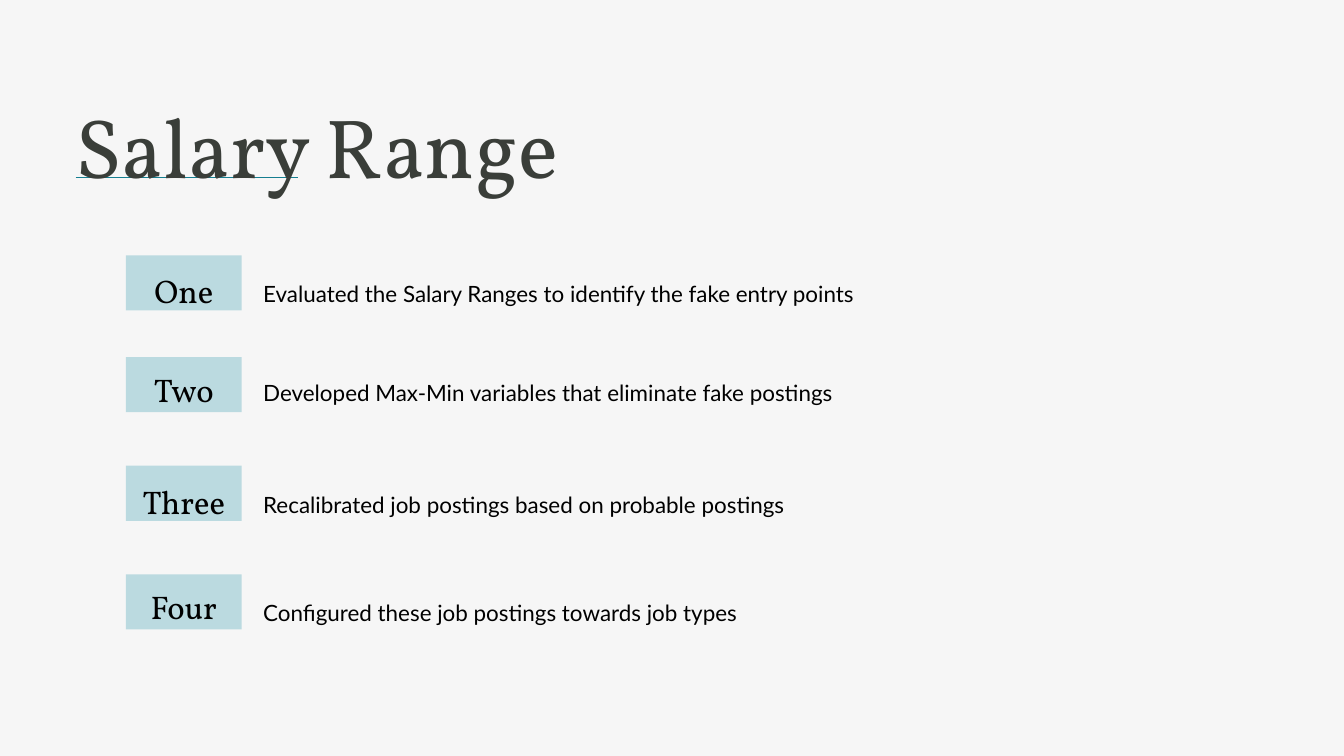
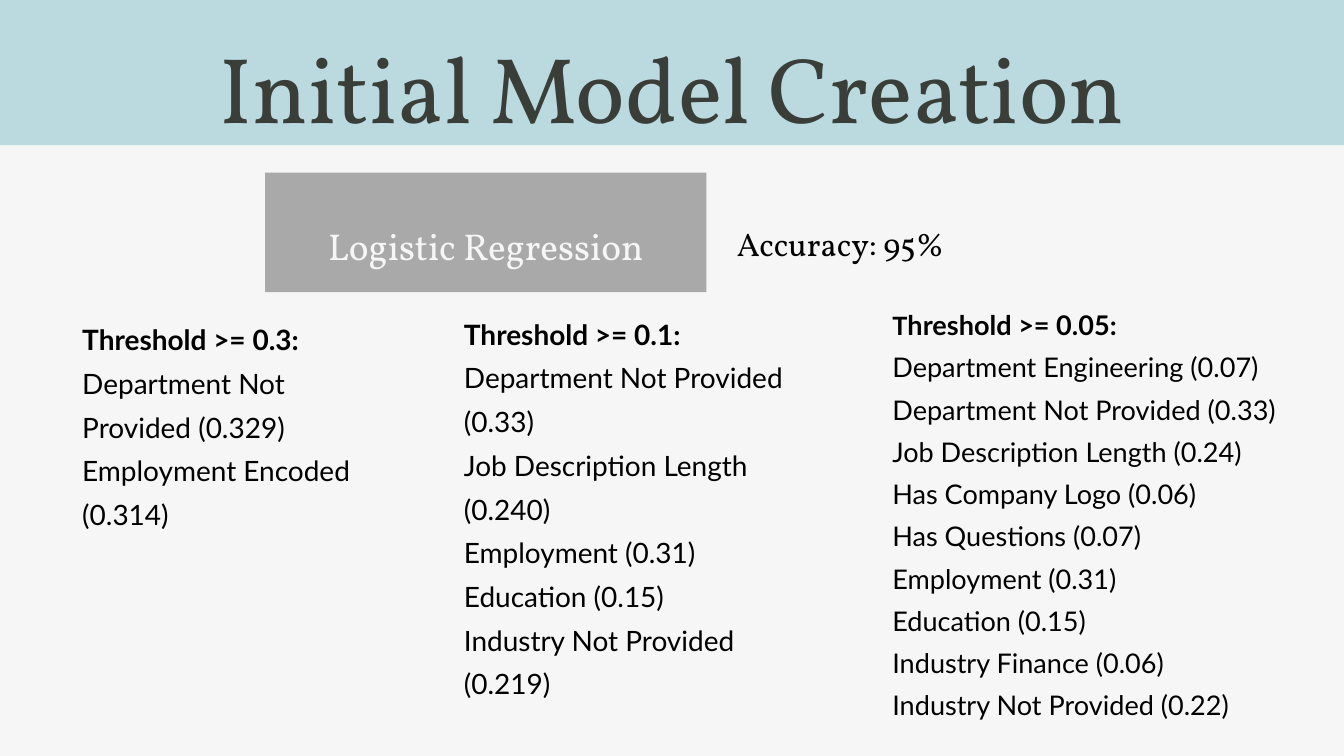
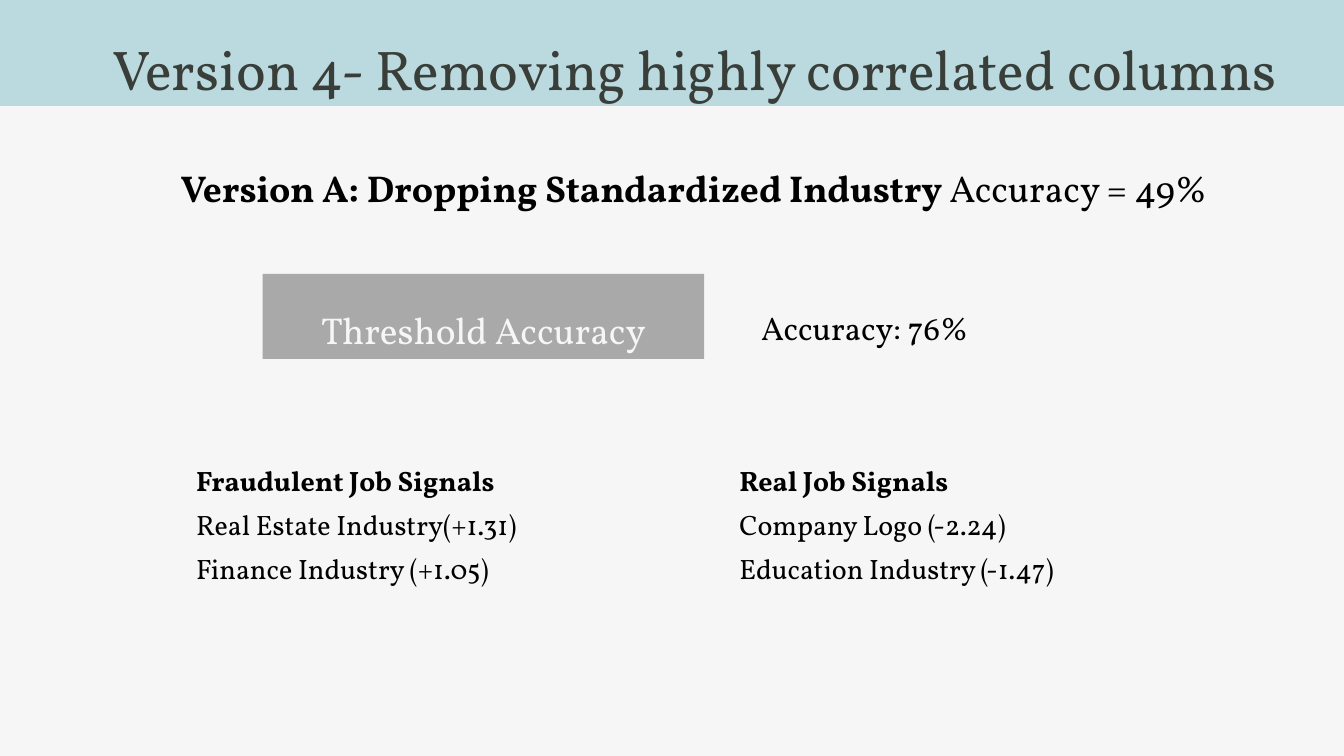
"""Builds three slides on salary ranges and job fraud models."""
from pptx import Presentation
from pptx.dml.color import RGBColor
from pptx.enum.shapes import MSO_CONNECTOR, MSO_SHAPE
from pptx.enum.text import MSO_AUTO_SIZE, PP_ALIGN
from pptx.oxml.ns import qn
from pptx.util import Pt
from lxml import etree

RECT = MSO_SHAPE.RECTANGLE
LINE = MSO_CONNECTOR.STRAIGHT
GROW = MSO_AUTO_SIZE.SHAPE_TO_FIT_TEXT
FIXED = MSO_AUTO_SIZE.NONE
LEFT = PP_ALIGN.LEFT
MID = PP_ALIGN.CENTER

WIDE, HIGH = 1440, 810
SERIF, SANS = "Vollkorn", "Lato"
COLORS = {"page": "F6F6F6", "band": "BBDAE0", "bar": "A9A9A9",
          "title": "3A3E39", "rule": "157E90", "text": "000000"}

STEPS = [
    ("One", "Evaluated the Salary Ranges to identify the fake entry points", 273.5, 282, 289),
    ("Two", "Developed Max-Min variables that eliminate fake postings", 382.5, 387.5, 395),
    ("Three", "Recalibrated job postings based on probable postings", 499, 507.5, 515),
    ("Four", "Configured these job postings towards job types", 615.5, 620, 630),
]

LIMITS = [
    ((81, 328, 312, 240), 30, [("Threshold >= 0.3:", 30)],
     ["Department Not Provided (0.329)", "Employment Encoded (0.314)"]),
    ((490, 322, 361, 429), 30, [("Threshold >= 0.1:", 30)],
     ["Department Not Provided (0.33)", "Job Description Length (0.240)",
      "Employment (0.31)", "Education (0.15)", "Industry Not Provided (0.219)"]),
    ((949, 313, 491, 461), 29, [("T", 27), ("hreshold >= 0.05:", 29)],
     ["Department Engineering (0.07)", "Department Not Provided (0.33)",
      "Job Description Length (0.24)", "Has Company Logo (0.06)",
      "Has Questions (0.07)", "Employment (0.31)", "Education (0.15)",
      "Industry Finance (0.06)", "Industry Not Provided (0.22)"]),
]

SIGNALS = [
    ((203, 479, 409, 145), 30, [("Fraudulent Job Signals", 30)],
     ["Real Estate Industry(+1.31)", "Finance Industry (+1.05)"]),
    ((785, 479, 421, 145), 30, [("Real Job Signals", 30)],
     ["Company Logo (-2.24)", "Education Industry (-1.47)"]),
]


def tint(name):
    return RGBColor.from_string(COLORS[name])


def pts(box):
    return [Pt(num) for num in box]


def new_page(deck):
    page = deck.slides.add_slide(deck.slide_layouts[6])
    page.background.fill.solid()
    page.background.fill.fore_color.rgb = tint("page")
    return page


def add_block(page, box, color):
    block = page.shapes.add_shape(RECT, *pts(box))
    block.shadow.inherit = False
    block.fill.solid()
    block.fill.fore_color.rgb = tint(color)
    block.line.fill.background()


def add_text(page, box, paras, face=SERIF, color="text", gap=1.3,
             inset=7.2, align=LEFT, fit=GROW):
    frame = page.shapes.add_textbox(*pts(box)).text_frame
    frame.word_wrap = True
    frame.auto_size = fit
    frame.margin_left = frame.margin_right = Pt(inset)
    frame.margin_top = frame.margin_bottom = Pt(inset)
    for rank, runs in enumerate(paras):
        para = frame.add_paragraph() if rank else frame.paragraphs[0]
        para.alignment = align
        para.line_spacing = gap
        for words, size, bold in runs:
            run = para.add_run()
            run.text = words
            run.font.name = face
            run.font.size = Pt(size)
            run.font.bold = bold
            run.font.color.rgb = tint(color)


def add_title(page, box, words, size, align=MID):
    add_text(page, box, [[(words, size, False)]], color="title",
             gap=1.2, inset=0, align=align)


def add_band(page, top, high):
    add_block(page, (0, top, WIDE, high), "band")


def add_score(page, bar, label, score, left):
    x, y, wide, high = bar
    mid = y + high / 2
    add_block(page, bar, "bar")
    add_text(page, (x, mid - 31.5, wide, 63), [[(label, 40, False)]],
             color="page", align=MID)
    add_text(page, (left, mid - 28.5, 374, 57), [[(score, 35, False)]])


def add_lists(page, lists, face):
    for box, size, head, items in lists:
        paras = [[(words, big, True) for words, big in head]]
        paras += [[(item, size, False)] for item in items]
        add_text(page, box, paras, face)


def salary_page(deck):
    page = new_page(deck)
    rule = page.shapes.add_connector(LINE, *pts((81, 190, 319, 190)))
    rule.line.color.rgb = tint("rule")
    rule.line.width = Pt(1.5)
    etree.SubElement(rule.element.spPr, qn("a:effectLst"))
    add_title(page, (81, 80, 773, 110), "Salary Range", 90, LEFT)
    for label, words, tile, top, base in STEPS:
        add_block(page, (135, tile, 124, 59), "band")
        add_text(page, (135, top, 124, 42.5), [[(label, 35, False)]],
                 gap=1.2, inset=0, align=MID)
        add_text(page, (282, base, 718, 29), [[(words, 24, False)]],
                 SANS, gap=1.4, inset=0)


def model_page(deck):
    page = new_page(deck)
    add_band(page, -13, 168.5)
    add_title(page, (163.5, 8, 1113, 121), "Initial Model Creation", 100)
    add_score(page, (284, 185, 473, 128), "Logistic Regression",
              "Accuracy: 95%", 782.5)
    add_lists(page, LIMITS, SANS)


def version_page(deck):
    page = new_page(deck)
    add_band(page, -14.5, 128)
    add_title(page, (-33, 23, 1554, 73),
              "Version 4- Removing highly correlated columns", 60)
    add_text(page, (84, 155.5, 1319, 73),
             [[("Version A: Dropping Standardized Industry ", 40, True),
               ("Accuracy = 49%", 40, False)]], align=MID, fit=FIXED)
    add_lists(page, SIGNALS, SERIF)
    add_score(page, (281.5, 293.5, 473, 91), "Threshold Accuracy",
              "Accuracy: 76%", 808.5)


def main():
    deck = Presentation()
    deck.slide_width, deck.slide_height = Pt(WIDE), Pt(HIGH)
    salary_page(deck)
    model_page(deck)
    version_page(deck)
    deck.save("out.pptx")


if __name__ == "__main__":
    main()
